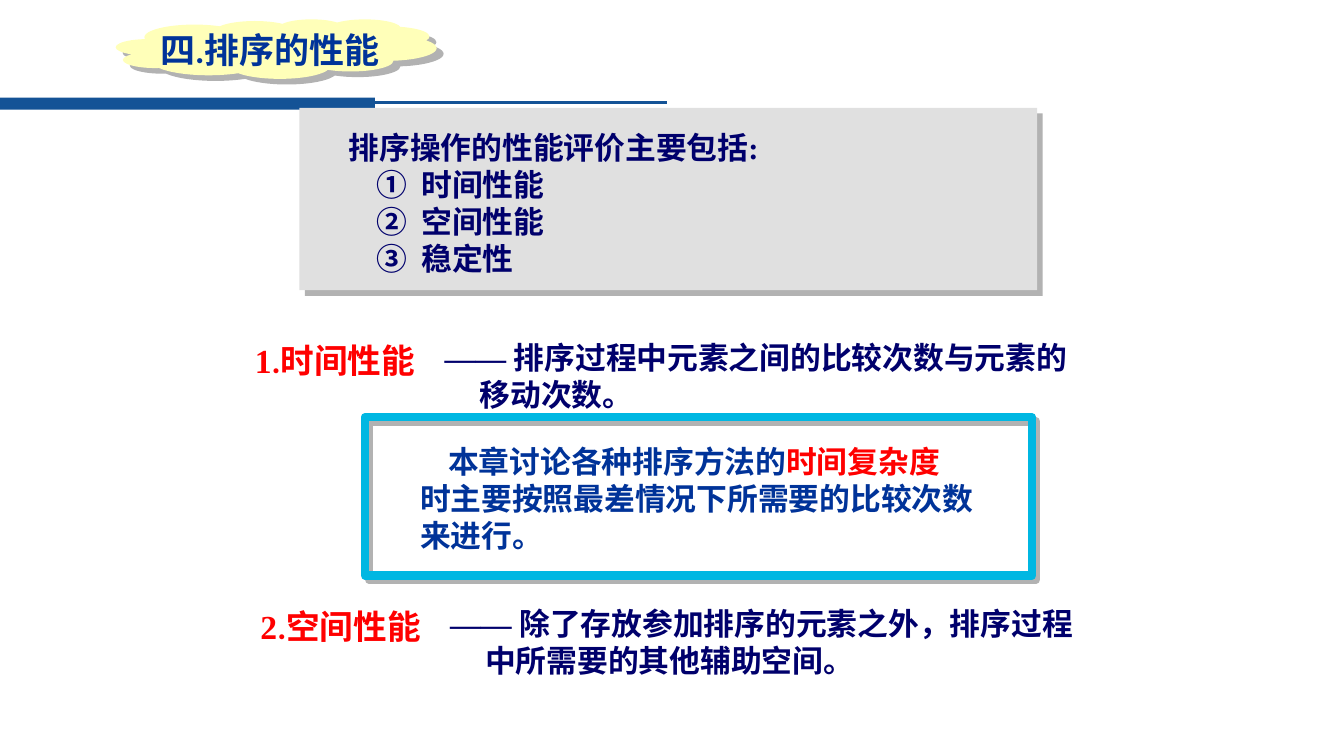
from dataclasses import dataclass
from lxml.etree import SubElement
from pptx import Presentation
from pptx.dml.color import RGBColor
from pptx.enum.shapes import MSO_CONNECTOR as Connector, MSO_SHAPE as Preset
from pptx.enum.text import MSO_ANCHOR as Anchor, MSO_AUTO_SIZE as AutoSize, PP_ALIGN as Align
from pptx.oxml.ns import qn
from pptx.util import Pt


@dataclass(frozen=True)
class Theme:
    bar: str = "145396"
    cloud: str = "FFFFB9"
    panel: str = "E0E0E0"
    frame: str = "00B7E2"
    shadow: str = "B2B2B2"
    blue: str = "003399"
    navy: str = "00006C"
    red: str = "FF0000"
    title_size: float = 25
    heading_size: float = 24
    text_size: float = 22
    line_factor: float = 1.2
    latin: str = "Calibri"
    serif: str = "Times New Roman"
    chinese: str = "Noto Sans CJK SC"


THEME = Theme()


def color(code):
    return RGBColor.from_string(code)


def place(shape, left, top, width, height):
    shape.left, shape.top, shape.width, shape.height = map(Pt, (left, top, width, height))


def add_figure(page, preset, area, fill=None, line=None, line_width=0, shadow=None):
    """Preset shape; shadow is (distance in points, angle in degrees)."""
    shape = page.shapes.add_shape(preset, *map(Pt, area))
    if fill:
        shape.fill.solid()
        shape.fill.fore_color.rgb = color(fill)
    else:
        shape.fill.background()
    if line:
        shape.line.color.rgb = color(line)
        shape.line.width = Pt(line_width)
    else:
        shape.line.fill.background()
    shape.shadow.inherit = False
    if shadow:
        distance, angle = shadow
        effects = shape.element.spPr.find(qn("a:effectLst"))
        outer = SubElement(effects, qn("a:outerShdw"), dist=str(Pt(distance)),
                           dir=str(angle * 60000), algn="ctr", rotWithShape="0")
        SubElement(outer, qn("a:srgbClr"), val=THEME.shadow)
    return shape


def add_rule(page, left, right, top, width):
    rule = page.shapes.add_connector(Connector.STRAIGHT, Pt(left), Pt(top), Pt(right), Pt(top))
    rule.line.color.rgb = color(THEME.bar)
    rule.line.width = Pt(width)
    SubElement(rule.element.spPr, qn("a:effectLst"))


def prepare(box, area):
    """Move a text box or placeholder and give its frame the common settings."""
    place(box, *area)
    frame = box.text_frame
    frame.word_wrap = True
    frame.auto_size = AutoSize.NONE
    frame.vertical_anchor = Anchor.TOP
    frame.margin_left = frame.margin_right = Pt(7.2)
    frame.margin_top, frame.margin_bottom = Pt(6), Pt(0)
    return frame


def add_span(para, text, size, tint, font, east_asian=None):
    span = para.add_run()
    span.text = text
    span.font.size = Pt(size)
    span.font.bold = True
    span.font.color.rgb = color(tint)
    span.font.name = font
    SubElement(span.font._element, qn("a:ea"), typeface=east_asian or THEME.chinese)


def format_para(para, size, margin=0, indent=0):
    para.alignment = Align.LEFT
    para.line_spacing = Pt(size * THEME.line_factor)
    para.space_before = para.space_after = Pt(0)
    properties = para._p.get_or_add_pPr()
    properties.set("marL", str(Pt(margin)))
    properties.set("indent", str(Pt(indent)))
    SubElement(properties, qn("a:buNone"))


def to_front(shape):
    shape.element.getparent().append(shape.element)


def add_title(page):
    add_figure(page, Preset.CLOUD, (82.8, 13.7, 229, 42.5), THEME.cloud, shadow=(6.4, 39))
    title = page.shapes.title
    para = prepare(title, (107.3, 14.4, 236.9, 37.4)).paragraphs[0]
    format_para(para, THEME.title_size)
    add_span(para, "四.排序的性能", THEME.title_size, THEME.blue, THEME.latin)
    to_front(title)


def add_summary(page, lead, items):
    add_figure(page, Preset.RECTANGLE, (213.8, 77, 527, 130.3), THEME.panel, shadow=(5.7, 45))
    body = page.placeholders[1]
    frame = prepare(body, (241.9, 85.7, 396.7, 113.8))
    size = THEME.text_size
    para = frame.paragraphs[0]
    format_para(para, size)
    add_span(para, lead, size, THEME.navy, THEME.serif)
    for number, item in zip("①②③", items):
        para = frame.add_paragraph()
        format_para(para, size, margin=52, indent=-32)
        add_span(para, number + "\t", size, THEME.navy, THEME.chinese)
        add_span(para, item, size, THEME.navy, THEME.serif)
    to_front(body)


def add_definition(page, left, top, number, term, meaning):
    """Red numbered term with its meaning beside it."""
    size = THEME.heading_size
    box = page.shapes.add_textbox(0, 0, 0, 0)
    para = prepare(box, (left, top, 164, 36)).paragraphs[0]
    format_para(para, size)
    add_span(para, number, size, THEME.red, THEME.serif)
    add_span(para, "." + term, size, THEME.red, THEME.latin)

    size = THEME.text_size
    box = page.shapes.add_textbox(0, 0, 0, 0)
    para = prepare(box, (left + 135.5, top - 0.7, 470, 60)).paragraphs[0]
    format_para(para, size, margin=25, indent=-25)
    add_span(para, "—— ", size, THEME.navy, THEME.serif, THEME.serif)
    add_span(para, meaning, size, THEME.navy, THEME.chinese)


def add_remark(page, opening, emphasis, lines):
    size = THEME.text_size
    box = page.shapes.add_textbox(0, 0, 0, 0)
    para = prepare(box, (293, 310.3, 476, 87)).paragraphs[0]
    format_para(para, size, indent=20)
    add_span(para, opening, size, THEME.blue, THEME.chinese)
    add_span(para, emphasis, size, THEME.red, THEME.latin)
    for line in lines:
        para.add_line_break()
        add_span(para, line, size, THEME.blue, THEME.chinese)
    add_figure(page, Preset.RECTANGLE, (260.6, 298.1, 476.6, 113), line=THEME.frame,
               line_width=6, shadow=(4.2, 45))


def main():
    deck = Presentation()
    deck.slide_width, deck.slide_height = Pt(960), Pt(540)
    page = deck.slides.add_slide(deck.slide_layouts[1])

    # Header bar and title
    add_figure(page, Preset.RECTANGLE, (0, 69.8, 267.8, 8.6), THEME.bar)
    add_rule(page, 265, 476.6, 73.4, 2.25)
    add_title(page)

    # Criteria
    add_summary(page, "排序操作的性能评价主要包括:", ["时间性能", "空间性能", "稳定性"])

    # Definitions and remark
    add_definition(page, 175, 236.5, "1", "时间性能",
                   "排序过程中元素之间的比较次数与元素的移动次数。")
    add_remark(page, "本章讨论各种排序方法的", "时间复杂度",
               ["时主要按照最差情况下所需要的比较次数", "来进行。"])
    add_definition(page, 179, 426.7, "2", "空间性能",
                   "除了存放参加排序的元素之外，排序过程中所需要的其他辅助空间。")

    deck.save("out.pptx")


if __name__ == "__main__":
    main()
